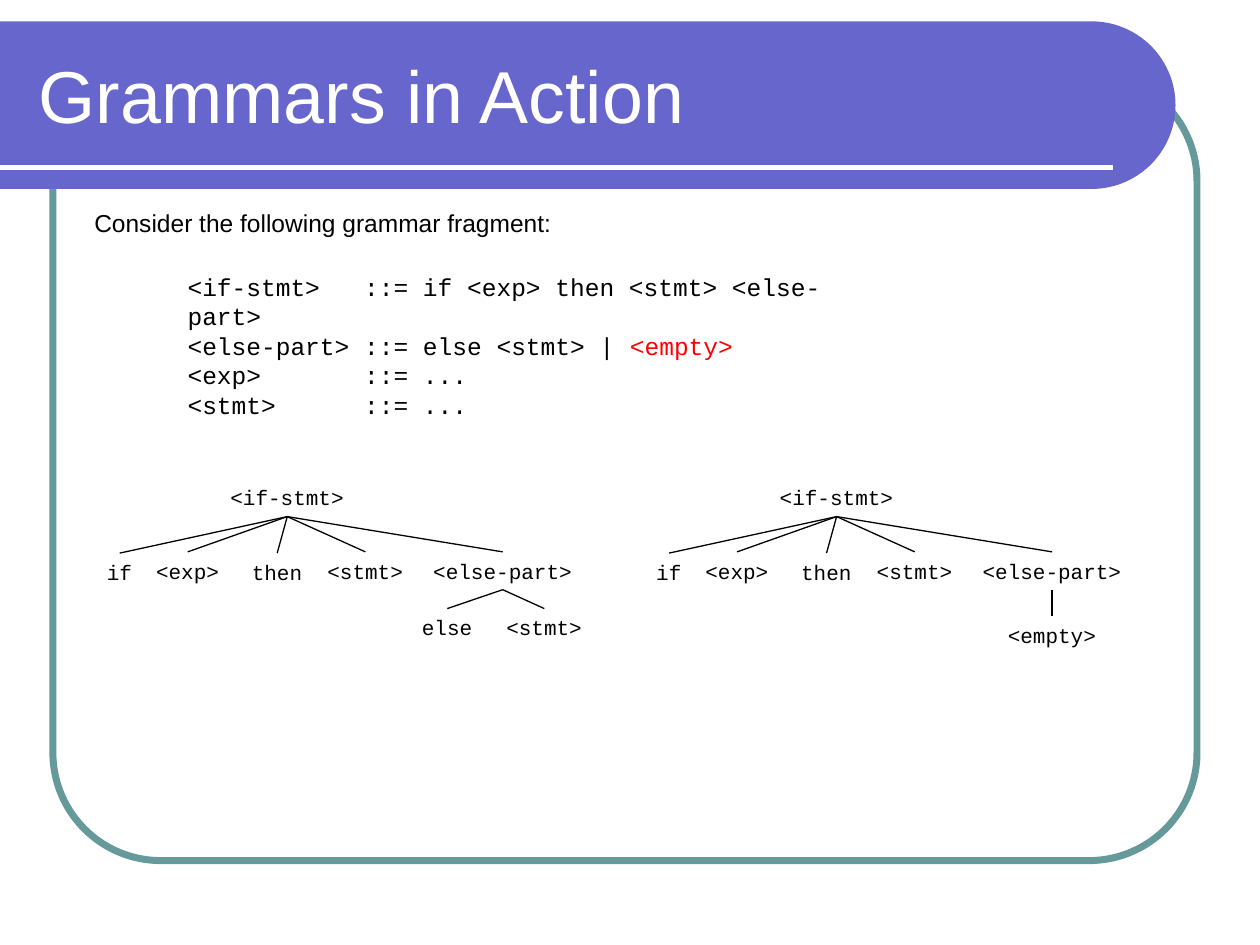
import math

from pptx import Presentation
from pptx.dml.color import RGBColor
from pptx.enum.shapes import MSO_CONNECTOR, MSO_SHAPE
from pptx.enum.text import MSO_ANCHOR, MSO_AUTO_SIZE
from pptx.oxml.ns import qn
from pptx.util import Inches, Pt

STRAIGHT = MSO_CONNECTOR.STRAIGHT
ROUNDED = MSO_SHAPE.ROUNDED_RECTANGLE
MIDDLE = MSO_ANCHOR.MIDDLE
GROW = MSO_AUTO_SIZE.SHAPE_TO_FIT_TEXT
BOTTOM, TOP = 2, 0

GRAMMAR = [
    [("<if-stmt>   ::= if <exp> then <stmt> <else-part>", None)],
    [("<else-part> ::= else <stmt> | ", None), ("<empty>", "FF0000")],
    [("<exp>       ::= ...", None)],
    [("<stmt>      ::= ...", None)],
]
BRANCHES = [
    ("if", 0.75, 4.39),
    ("<exp>", 1.14, 4.38),
    ("then", 1.9, 4.39),
    ("<stmt>", 2.5, 4.38),
    ("<else-part>", 3.34, 4.38),
]
TREES = [
    (0, [("else", 3.25, 4.83), ("<stmt>", 3.92, 4.83)]),
    (4.36, [("<empty>", 3.54, 4.89)]),
]


def rgb(value):
    return RGBColor.from_string(value)


class Deck:
    sans = "Arial"
    mono = "Courier New"
    ink = "000000"
    paper = "FFFFFF"
    accent = "6666CC"
    border = "669999"

    def __init__(self):
        self.prs = Presentation()
        self.prs.slide_width = Inches(10)
        self.prs.slide_height = Inches(7.5)
        self.s = self.prs.slides.add_slide(self.prs.slide_layouts[6])

    def frame(self, x, y, w, h, radius):
        sp = self.s.shapes.add_shape(ROUNDED, Inches(x), Inches(y), Inches(w), Inches(h))
        sp.adjustments[0] = radius
        sp.shadow.inherit = False
        sp.fill.background()
        sp.line.color.rgb = rgb(self.border)
        sp.line.width = Pt(4)

    def banner(self, y, w, h, steps=60):
        r = h / 2
        angles = [math.pi * (i / steps - 0.5) for i in range(steps + 1)]
        arc = [(Inches(w - r + r * math.cos(a)), Inches(y + r + r * math.sin(a))) for a in angles]
        fb = self.s.shapes.build_freeform(0, Inches(y))
        fb.add_line_segments(arc + [(0, Inches(y + h))], close=True)
        sp = fb.convert_to_shape()
        sp.shadow.inherit = False
        sp.fill.solid()
        sp.fill.fore_color.rgb = rgb(self.accent)
        sp.line.fill.background()

    def line(self, x1, y1, x2, y2, color, width):
        cn = self.s.shapes.add_connector(STRAIGHT, Inches(x1), Inches(y1), Inches(x2), Inches(y2))
        cn.line.color.rgb = rgb(color)
        cn.line.width = Pt(width)
        sp_pr = cn._element.spPr
        sp_pr.append(sp_pr.makeelement(qn("a:effectLst"), {}))
        return cn

    def text(self, x, y, w, h, lines, font, size, color=ink):
        sp = self.s.shapes.add_textbox(Inches(x), Inches(y), Inches(w), Inches(h))
        tf = sp.text_frame
        tf.word_wrap = False
        tf.auto_size = GROW
        for i, runs in enumerate(lines):
            p = tf.paragraphs[0] if i == 0 else tf.add_paragraph()
            p.font.name = font
            p.font.size = Pt(size)
            p.font.color.rgb = rgb(color)
            for text, run_color in runs:
                r = p.add_run()
                r.text = text
                if run_color:
                    r.font.color.rgb = rgb(run_color)
        return sp

    def title(self, x, y, w, h, text):
        sp = self.text(x, y, w, h, [[(text, None)]], self.sans, 42, self.paper)
        tf = sp.text_frame
        tf.auto_size = MSO_AUTO_SIZE.NONE
        tf.word_wrap = True
        tf.vertical_anchor = MIDDLE

    def node(self, text, x, y):
        return self.text(x, y, 0.2 + 0.1 * len(text), 0.3, [[(text, None)]], self.mono, 12)

    def edge(self, parent, child):
        cn = self.line(0, 0, 0, 0, self.ink, 0.75)
        cn.begin_connect(parent, BOTTOM)
        cn.end_connect(child, TOP)

    def children(self, parent, labels, dx):
        nodes = [self.node(text, x + dx, y) for text, x, y in labels]
        for child in nodes:
            self.edge(parent, child)
        return nodes


def main():
    deck = Deck()
    deck.frame(0.42, 0.58, 9.08, 6.25, 0.137)
    deck.banner(0.17, 9.33, 1.33)
    deck.line(0, 1.33, 8.83, 1.33, deck.paper, 3)
    deck.title(0.21, 0.25, 8.77, 1, "Grammars in Action")
    intro = "Consider the following grammar fragment:"
    deck.text(0.65, 1.6, 3.83, 0.34, [[(intro, None)]], deck.sans, 14)
    deck.text(1.39, 2.11, 5.81, 1.04, GRAMMAR, deck.mono, 14)
    for dx, leaves in TREES:
        root = deck.node("<if-stmt>", 1.73 + dx, 3.8)
        else_part = deck.children(root, BRANCHES, dx)[-1]
        deck.children(else_part, leaves, dx)
    deck.prs.save("out.pptx")


if __name__ == "__main__":
    main()
